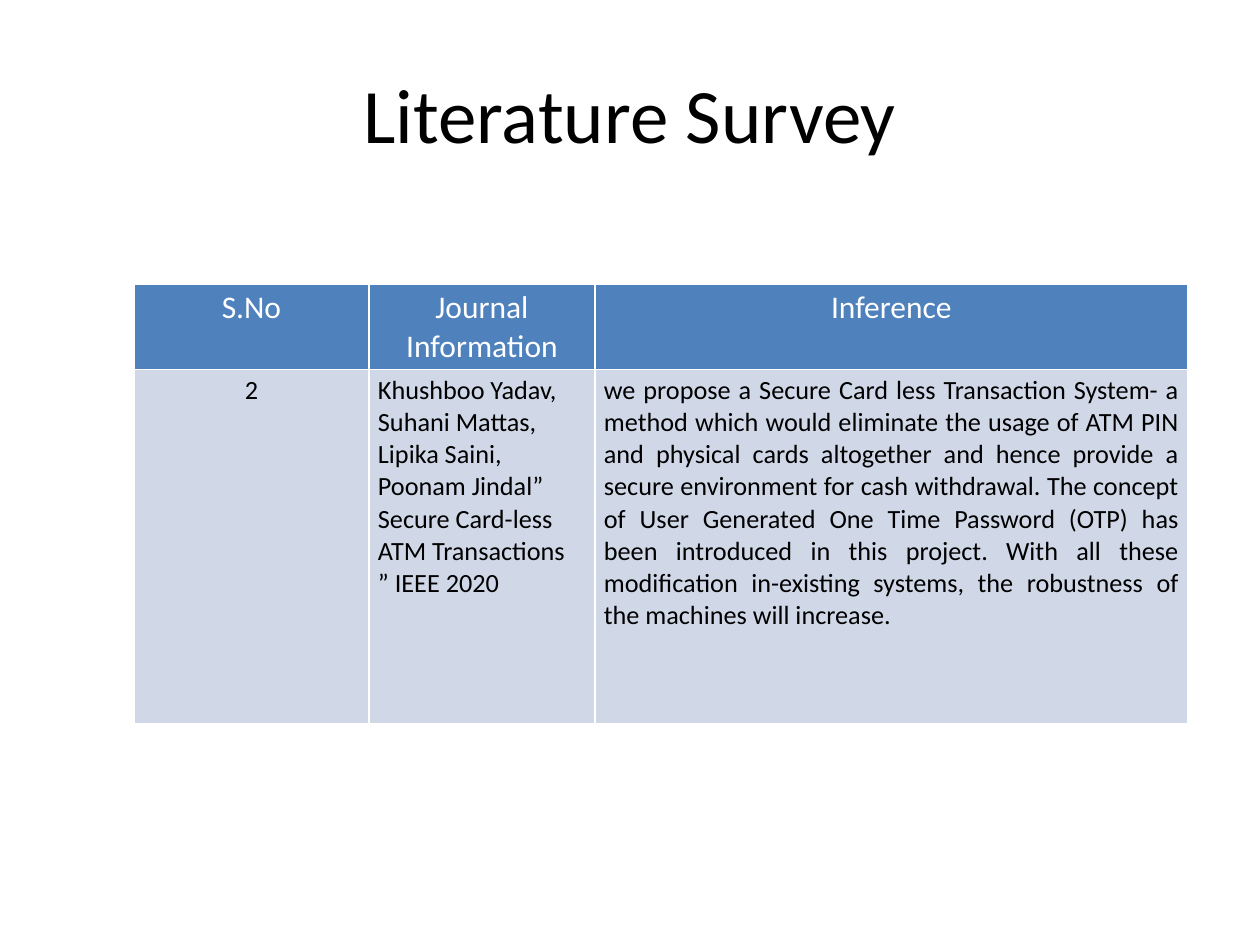
from lxml.etree import SubElement
from pptx import Presentation
from pptx.dml.color import RGBColor
from pptx.enum.text import MSO_ANCHOR, PP_ALIGN
from pptx.oxml.ns import qn
from pptx.util import Pt

SCALE = 914400 // 126
LEFT, MID, JUST = PP_ALIGN.LEFT, PP_ALIGN.CENTER, PP_ALIGN.JUSTIFY


def px(count):
    return count * SCALE


def color(code):
    return RGBColor.from_string(code)


class Deck:
    font = "Calibri"
    ink, white = "000000", "FFFFFF"
    head, body = "4F81BD", "D0D8E8"

    def __init__(self, wide, high):
        self.file = Presentation()
        self.file.slide_width, self.file.slide_height = px(wide), px(high)
        self.slide = self.file.slides.add_slide(self.file.slide_layouts[6])

    def label(self, frame, lines, size, ink, align):
        frame.word_wrap = True
        frame.text = "\n".join(lines)
        for para in frame.paragraphs:
            para.alignment = align
            para.font.name, para.font.size = self.font, Pt(size)
            para.font.bold = False
            para.font.color.rgb = color(ink)

    def title(self, text, left, top, wide, high):
        box = self.slide.shapes.add_textbox(px(left), px(top), px(wide), px(high))
        box.text_frame.vertical_anchor = MSO_ANCHOR.MIDDLE
        self.label(box.text_frame, [text], 44, self.ink, MID)

    def edge(self, cell):
        props = cell._tc.get_or_add_tcPr()
        for side in ("a:lnL", "a:lnR", "a:lnT", "a:lnB"):
            line = SubElement(props, qn(side), w=str(Pt(1)))
            fill = SubElement(line, qn("a:solidFill"))
            SubElement(fill, qn("a:srgbClr"), val=self.white)

    def cell(self, cell, lines, size, ink, align, fill):
        cell.margin_left = cell.margin_right = px(9)
        cell.margin_top = cell.margin_bottom = px(5)
        self.edge(cell)
        cell.fill.solid()
        cell.fill.fore_color.rgb = color(fill)
        self.label(cell.text_frame, lines, size, ink, align)

    def table(self, left, top, cols, rows, heads, items):
        grid = self.slide.shapes.add_table(
            len(rows), len(cols), px(left), px(top), px(sum(cols)), px(sum(rows))
        ).table
        for col, wide in zip(grid.columns, cols):
            col.width = px(wide)
        for row, high in zip(grid.rows, rows):
            row.height = px(high)
        for i, text in enumerate(heads):
            self.cell(grid.cell(0, i), [text], 18, self.white, MID, self.head)
        for i, (lines, align) in enumerate(items):
            self.cell(grid.cell(1, i), lines, 15, self.ink, align, self.body)


def main():
    deck = Deck(1260, 945)

    # Heading
    deck.title("Literature Survey", 63, 34, 1134, 158)

    # Survey table
    deck.table(
        134, 284, [235, 226, 593], [55, 354],
        ["S.No", "Journal Information", "Inference"],
        [
            (["2"], MID),
            (["Khushboo Yadav, Suhani Mattas, Lipika Saini, Poonam Jindal” "
              "Secure Card-less ATM Transactions",
              "” IEEE 2020"], LEFT),
            (["we propose a Secure Card less Transaction System- a method which "
              "would eliminate the usage of ATM PIN and physical cards altogether "
              "and hence provide a secure environment for cash withdrawal. The "
              "concept of User Generated One Time Password (OTP) has been "
              "introduced in this project. With all these modification "
              "in-existing systems, the robustness of the machines will "
              "increase."], JUST),
        ],
    )

    deck.file.save("out.pptx")


if __name__ == "__main__":
    main()
